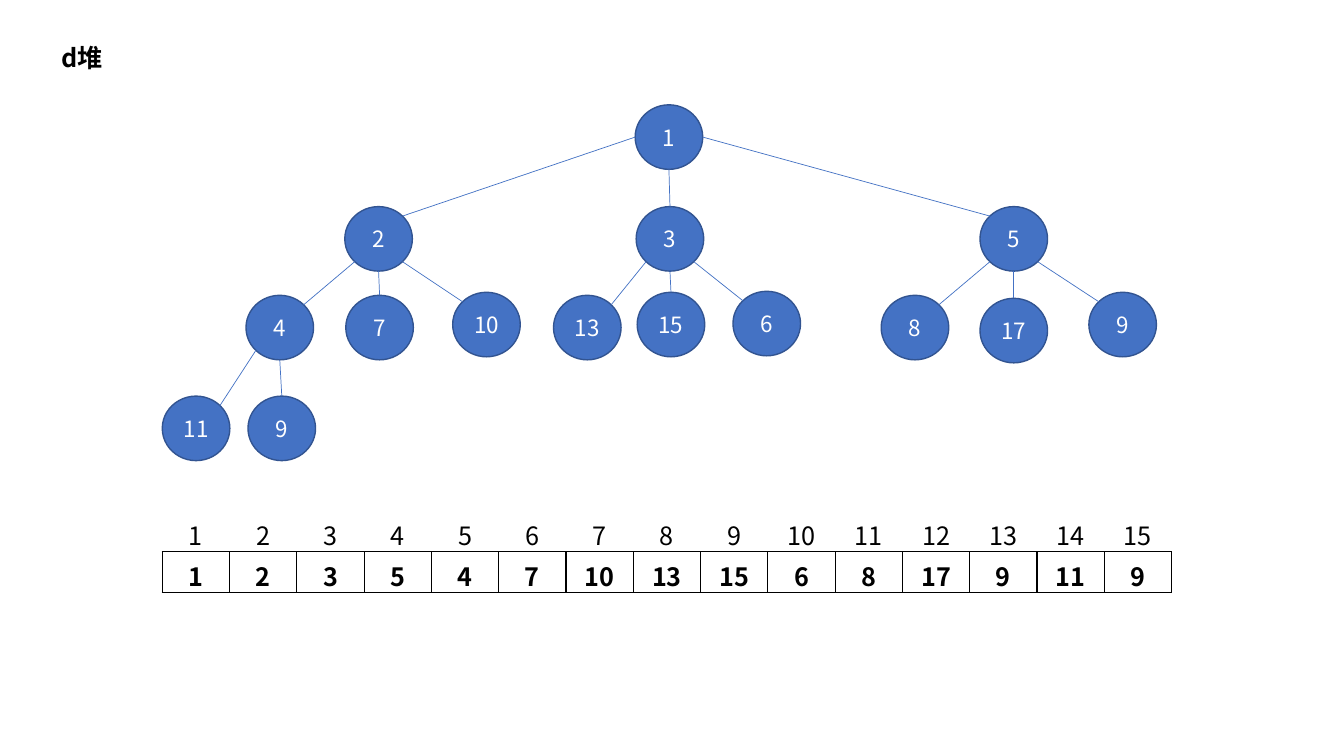
from math import hypot

from lxml.etree import SubElement
from pptx import Presentation
from pptx.dml.color import RGBColor
from pptx.enum.shapes import MSO_CONNECTOR, MSO_SHAPE
from pptx.enum.text import MSO_ANCHOR, PP_ALIGN
from pptx.oxml.ns import qn
from pptx.util import Inches, Pt

COLORS = {"node": "4472C4", "outline": "325491", "white": "FFFFFF", "black": "000000"}
FONT = "Noto Sans CJK SC"
NODE_WIDTH, NODE_HEIGHT = 0.67, 0.64


def color(name):
    return RGBColor.from_string(COLORS[name])


def write(frame, text, size=18, ink="black", bold=False, align=PP_ALIGN.CENTER):
    para = frame.paragraphs[0]
    para.alignment = align
    span = para.add_run()
    span.text = text
    span.font.size = Pt(size)
    span.font.bold = bold
    span.font.color.rgb = color(ink)
    span.font.name = FONT
    SubElement(span.font._element, qn("a:ea"), typeface=FONT)


deck = Presentation()
deck.slide_width = Inches(13.33)
deck.slide_height = Inches(7.5)
page = deck.slides.add_slide(deck.slide_layouts[6])

title = page.shapes.add_textbox(Inches(0.51), Inches(0.37), Inches(0.66), Inches(0.4))
title.text_frame.word_wrap = True
write(title.text_frame, "d堆", bold=True, align=PP_ALIGN.LEFT)

# Heap position: value, left, top
nodes = {
    1: ("1", 6.3, 1.04),
    2: ("2", 3.42, 2.05),
    3: ("3", 6.31, 2.05),
    4: ("5", 9.72, 2.05),
    5: ("4", 2.44, 2.93),
    6: ("7", 3.43, 2.93),
    7: ("10", 4.49, 2.9),
    8: ("13", 5.49, 2.93),
    9: ("15", 6.32, 2.9),
    10: ("6", 7.27, 2.89),
    11: ("8", 8.74, 2.93),
    12: ("17", 9.72, 2.96),
    13: ("9", 10.8, 2.9),
    14: ("11", 1.61, 3.93),
    15: ("9", 2.46, 3.93),
}

for value, left, top in nodes.values():
    node = page.shapes.add_shape(MSO_SHAPE.OVAL, Inches(left), Inches(top),
                                 Inches(NODE_WIDTH), Inches(NODE_HEIGHT))
    node.shadow.inherit = False
    node.fill.solid()
    node.fill.fore_color.rgb = color("node")
    node.line.color.rgb = color("outline")
    node.line.width = Pt(1)
    frame = node.text_frame
    frame.margin_left = frame.margin_right = 0
    frame.vertical_anchor = MSO_ANCHOR.MIDDLE
    write(frame, value, size=16, ink="white")


def rim_point(position, across, down):
    """Point on a node's rim in the direction (across, down) from its centre."""
    _, left, top = nodes[position]
    reach = 2 * hypot(across, down)
    return (Inches(left + NODE_WIDTH * (0.5 + across / reach)),
            Inches(top + NODE_HEIGHT * (0.5 + down / reach)))


# In a 3-heap, the children of k sit at 3k - 1, 3k and 3k + 1
for child in range(2, len(nodes) + 1):
    parent = (child + 1) // 3
    side = child - 3 * parent
    drop = 0 if parent == 1 and side else 1
    edge = page.shapes.add_connector(MSO_CONNECTOR.STRAIGHT,
                                     *rim_point(parent, side, drop),
                                     *rim_point(child, -side, -1))
    edge.line.color.rgb = color("node")
    edge.line.width = Pt(0.5)
    SubElement(edge._element.spPr, qn("a:effectLst"))

array = page.shapes.add_table(2, len(nodes), Inches(1.61), Inches(5.07),
                              Inches(10.01), Inches(0.81)).table
array.first_row = False
array.horz_banding = False
for column in array.columns:
    column.width = Inches(10.01 / len(nodes))

for position, (value, _, _) in nodes.items():
    for row, text in enumerate((str(position), value)):
        cell = array.cell(row, position - 1)
        write(cell.text_frame, text, bold=row == 1)
        for side in ("lnB",) if row == 0 else ("lnL", "lnR", "lnT", "lnB"):
            border = SubElement(cell._tc.get_or_add_tcPr(), qn(f"a:{side}"), w=str(Pt(1)))
            paint = SubElement(border, qn("a:solidFill"))
            SubElement(paint, qn("a:srgbClr"), val=COLORS["black"])
        cell.fill.background()

deck.save("out.pptx")
